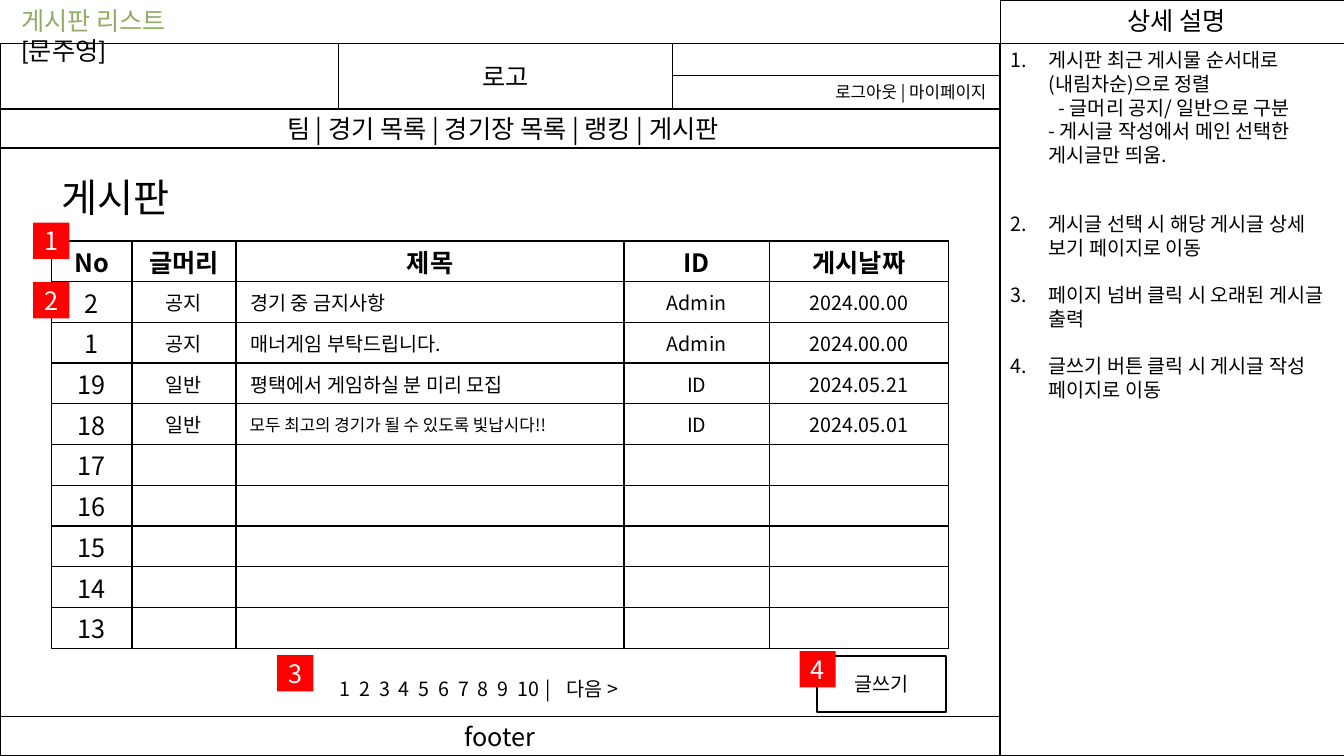
import pptx
import pptx.util
import pptx.dml.color
import pptx.enum.text
import pptx.oxml
import pptx.oxml.ns
from dataclasses import dataclass
from pptx.util import Inches

ALIGN = pptx.enum.text.PP_ALIGN
ANCHOR = pptx.enum.text.MSO_ANCHOR


@dataclass(frozen=True)
class Theme:
    font: str = "Noto Sans CJK KR"
    latin_font: str = "Lato"
    black: str = "000000"
    white: str = "FFFFFF"
    green: str = "92AC65"
    red: str = "FF0000"
    heading: int = 28
    large: int = 18
    body: int = 14
    small: int = 12


theme = Theme()
color = pptx.dml.color.RGBColor.from_string


def add_span(para, text, size, ink=theme.black, bold=False, font=theme.font):
    span = para.add_run()
    span.text = text
    span.font.size = pptx.util.Pt(size)
    span.font.bold = bold
    span.font.name = font
    span.font.color.rgb = color(ink)
    east_asian = pptx.oxml.parse_xml(
        f'<a:ea {pptx.oxml.ns.nsdecls("a")} typeface="{font}"/>')
    span.font._element.find(pptx.oxml.ns.qn("a:latin")).addnext(east_asian)


def add_box(place, text="", size=theme.large, ink=theme.black, fill=theme.white,
            line=1, align=ALIGN.CENTER):
    box = page.shapes.add_shape(1, *[Inches(value) for value in place])
    box.shadow.inherit = False
    box.fill.solid()
    box.fill.fore_color.rgb = color(fill)
    if line:
        box.line.color.rgb = color(theme.black)
        box.line.width = pptx.util.Pt(line)
    else:
        box.line.fill.background()
    box.text_frame.word_wrap = True
    box.text_frame.vertical_anchor = ANCHOR.MIDDLE
    para = box.text_frame.paragraphs[0]
    para.alignment = align
    if text:
        add_span(para, text, size, ink)
    return box


deck = pptx.Presentation()
deck.slide_width, deck.slide_height = Inches(13.33), Inches(7.5)
page = deck.slides.add_slide(deck.slide_layouts[1])
title, details = page.placeholders

# Page frame: description panel, header, navigation and footer
add_box((9.92, 0.43, 3.42, 7.07))
add_box((9.92, 0, 3.42, 0.43))
add_box((0, 1.08, 9.92, 6.03))
add_box((0, 0.43, 9.92, 1.04))
add_box((3.36, 0.43, 3.31, 0.65), "로고")
add_box((0, 1.08, 9.92, 0.39), " 팀 | 경기 목록 | 경기장 목록 | 랭킹 | 게시판")
add_box((6.67, 0.75, 3.25, 0.33), "로그아웃 | 마이페이지 ", theme.small, align=ALIGN.RIGHT)
add_box((0, 7.11, 9.92, 0.39), "footer")

# Headings
for place, text, size in [((11.08, 0, 1.3, 0.4), "상세 설명", theme.large),
                          ((0.51, 1.67, 1.38, 0.57), "게시판", theme.heading)]:
    label = page.shapes.add_textbox(*[Inches(value) for value in place])
    label.text_frame.word_wrap = False
    add_span(label.text_frame.paragraphs[0], text, size)

# Title
title.left, title.top, title.width, title.height = map(Inches, (0.11, 0, 2.55, 0.4))
title.text_frame.word_wrap = True
title.text_frame.auto_size = pptx.enum.text.MSO_AUTO_SIZE.NONE
title.text_frame.vertical_anchor = ANCHOR.TOP
para = title.text_frame.paragraphs[0]
para.alignment = ALIGN.LEFT
add_span(para, "게시판 리스트", theme.large, theme.green)
para.add_line_break()
add_span(para, "[문주영]", theme.large, font=theme.latin_font)

# Post table
columns = [0.8, 1.03, 3.85, 1.44, 1.78]
posts = [
    ("No", "글머리", "제목", "ID", "게시날짜"),
    ("2", "공지", " 경기 중 금지사항", "Admin", "2024.00.00"),
    ("1", "공지", " 매너게임 부탁드립니다.", "Admin", "2024.00.00"),
    ("19", "일반", " 평택에서 게임하실 분 미리 모집", "ID", "2024.05.21"),
    ("18", "일반", " 모두 최고의 경기가 될 수 있도록 빛납시다!!", "ID", "2024.05.01"),
] + [(str(number), "", "", "", "") for number in range(17, 12, -1)]
frame = page.shapes.add_table(len(posts), len(columns), Inches(0.51), Inches(2.39),
                              Inches(8.89), Inches(4.04))
table = frame.table
for column, width in zip(table.columns, columns):
    column.width = Inches(width)
for row, post in enumerate(posts):
    table.rows[row].height = Inches(4.04 / len(posts))
    for column, text in enumerate(post):
        cell = table.cell(row, column)
        cell.vertical_anchor = ANCHOR.MIDDLE
        cell.margin_top = cell.margin_bottom = Inches(0.02)
        for side in ("lnL", "lnR", "lnT", "lnB"):
            cell._tc.get_or_add_tcPr().append(pptx.oxml.parse_xml(
                f'<a:{side} {pptx.oxml.ns.nsdecls("a")} w="12700"><a:solidFill>'
                f'<a:srgbClr val="{theme.black}"/></a:solidFill></a:{side}>'))
        cell.fill.solid()
        cell.fill.fore_color.rgb = color(theme.white)
        para = cell.text_frame.paragraphs[0]
        para.alignment = ALIGN.LEFT if row and column == 2 else ALIGN.CENTER
        size = theme.large if row == 0 or column == 0 else theme.body
        if row == 4 and column == 2:
            size = theme.small
        if text:
            add_span(para, text, size, bold=row == 0)

# Write button and page numbers
add_box((8.1, 6.51, 1.28, 0.55), "글쓰기", theme.body, line=1.5)
pager = add_box((2.37, 6.59, 4.83, 0.48), line=0, align=ALIGN.LEFT)
pager.text_frame.margin_left = Inches(1)
para = pager.text_frame.paragraphs[0]
stops = [1.76 / 9 * step for step in range(1, 10)] + [2.04, 2.25]
tabs = "".join(f'<a:tab pos="{Inches(stop)}" algn="l"/>' for stop in stops)
para._p.get_or_add_pPr().append(pptx.oxml.parse_xml(
    f'<a:tabLst {pptx.oxml.ns.nsdecls("a")}>{tabs}</a:tabLst>'))
numbers = [str(number) for number in range(1, 11)]
add_span(para, "\t".join(numbers + ["|", "다음 >"]), theme.body)

# Numbered markers
for number, left, top in [(1, 0.33, 2.21), (2, 0.33, 2.8), (3, 2.75, 6.5), (4, 7.93, 6.46)]:
    add_box((left, top, 0.36, 0.36), str(number), ink=theme.white, fill=theme.red, line=0)

# Description list: number, indent, space before, text
notes = [
    (1, 0.38, 0, "게시판 최근 게시물 순서대로(내림차순)으로 정렬"),
    (None, 0.48, 0, "- 글머리 공지/ 일반으로 구분"),
    (None, 0.38, 0, "- 게시글 작성에서 메인 선택한 게시글만 띄움."),
    (2, 0.38, 33, "게시글 선택 시 해당 게시글 상세 보기 페이지로 이동"),
    (3, 0.38, 17, "페이지 넘버 클릭 시 오래된 게시글 출력"),
    (4, 0.38, 17, "글쓰기 버튼 클릭 시 게시글 작성 페이지로 이동"),
]
details.left, details.top, details.width, details.height = map(Inches, (9.92, 0.43, 3.41, 3.4))
details.text_frame.word_wrap = True
details.text_frame.auto_size = pptx.enum.text.MSO_AUTO_SIZE.NONE
for index, (number, indent, gap, text) in enumerate(notes):
    para = details.text_frame.add_paragraph() if index else details.text_frame.paragraphs[0]
    layout = para._p.get_or_add_pPr()
    layout.set("marL", str(Inches(indent)))
    layout.set("indent", str(Inches(-0.38) if number else 0))
    bullet = f'buAutoNum type="arabicPeriod" startAt="{number}"' if number else "buNone"
    layout.append(pptx.oxml.parse_xml(f'<a:{bullet} {pptx.oxml.ns.nsdecls("a")}/>'))
    para.space_before = pptx.util.Pt(gap)
    add_span(para, text, theme.body)

# Title and description stand in front of the frame
for holder in (title, details):
    holder.element.getparent().append(holder.element)

deck.save("out.pptx")
